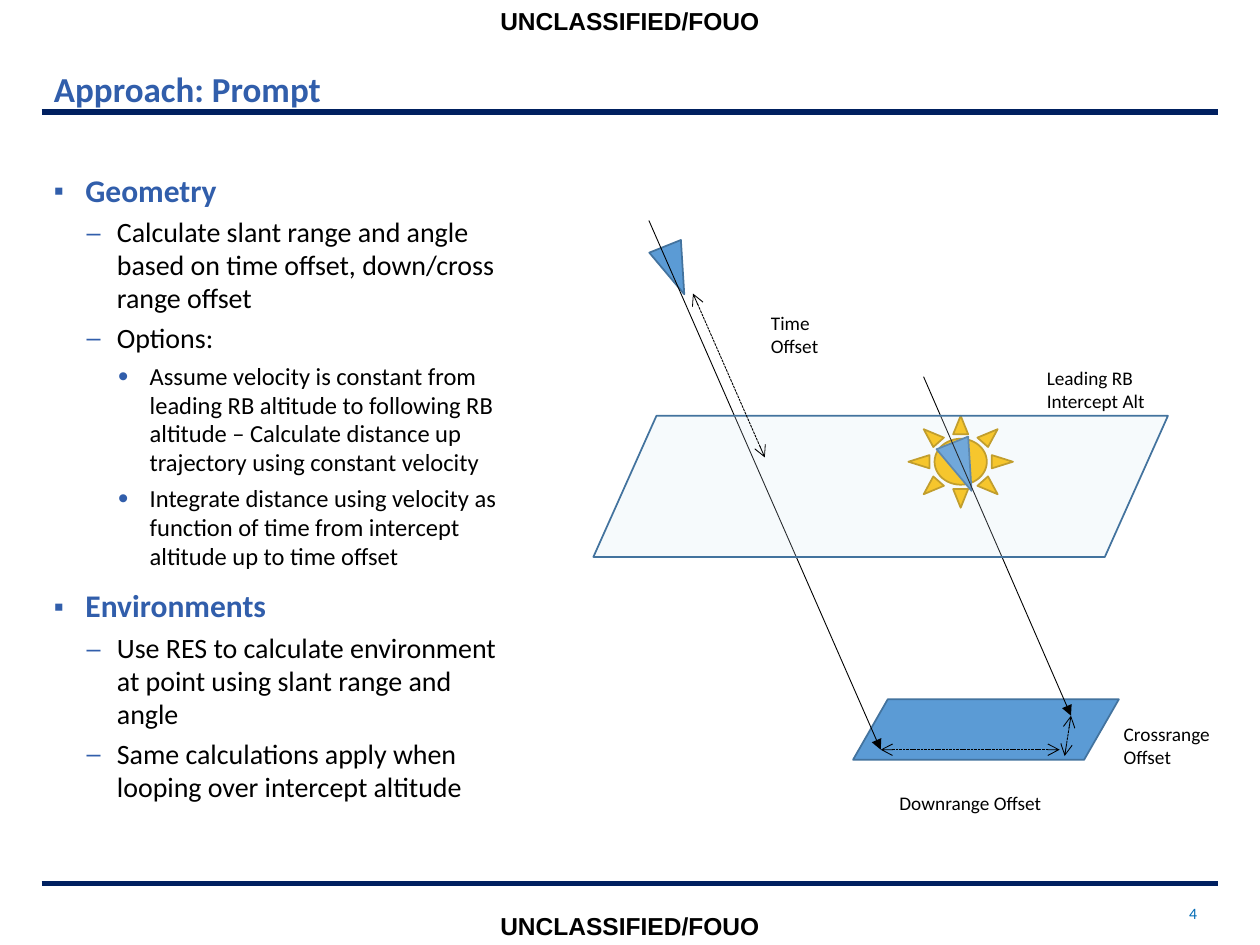
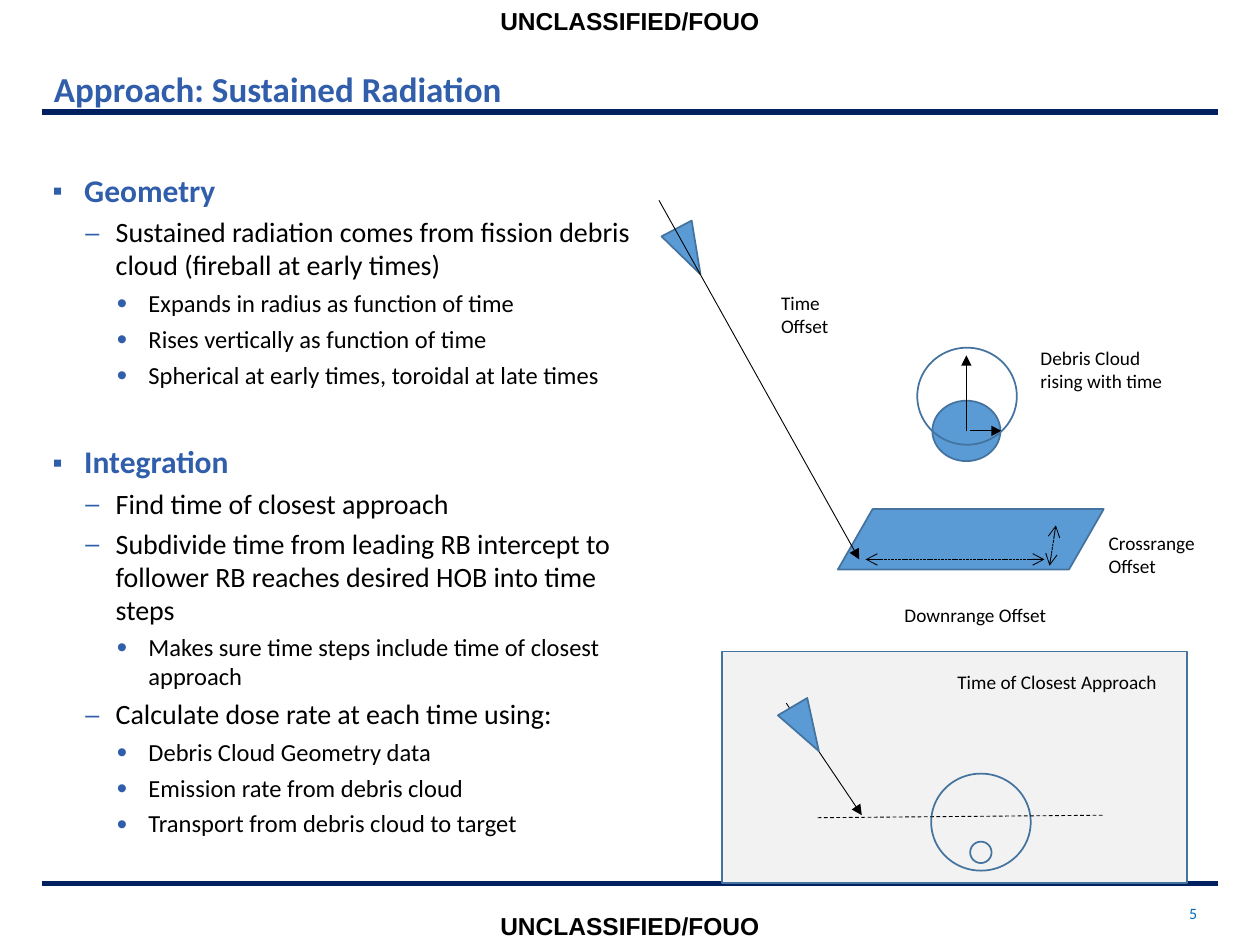
from dataclasses import dataclass
from typing import Optional, Union

import lxml.etree
import pptx
import pptx.dml.color
import pptx.enum.dml
import pptx.enum.shapes
import pptx.enum.text
import pptx.oxml.ns
import pptx.slide
import pptx.text.text
import pptx.util

Inches = pptx.util.Inches
Pt = pptx.util.Pt
RGBColor = pptx.dml.color.RGBColor
Preset = pptx.enum.shapes.MSO_SHAPE
Dash = pptx.enum.dml.MSO_LINE
Align = pptx.enum.text.PP_ALIGN
Anchor = pptx.enum.text.MSO_ANCHOR
qn = pptx.oxml.ns.qn

BLACK = RGBColor(0x00, 0x00, 0x00)
NAVY = RGBColor(0x00, 0x20, 0x60)
HEADING_BLUE = RGBColor(0x31, 0x5E, 0xAB)
NUMBER_BLUE = RGBColor(0x00, 0x6B, 0xB5)
SHAPE_BLUE = RGBColor(0x5B, 0x9B, 0xD5)
OUTLINE_BLUE = RGBColor(0x43, 0x73, 0x9E)
PLANE_BLUE = RGBColor(0xD4, 0xE5, 0xF4)
SUN_GOLD = RGBColor(0xFF, 0xC0, 0x00)
SUN_OUTLINE = RGBColor(0xBD, 0x8E, 0x00)
PANEL_GREY = RGBColor(0xF2, 0xF2, 0xF2)

MARKING = "UNCLASSIFIED/FOUO"


@dataclass(frozen=True)
class TextStyle:
    size: float
    color: RGBColor = BLACK
    bold: bool = False
    name: str = "Calibri"


@dataclass(frozen=True)
class BulletLevel:
    style: TextStyle
    symbol: str
    symbol_percent: int
    margin: float
    hanging: float
    space_before: float


@dataclass(frozen=True)
class Bullet:
    level: int
    text: str
    space_before: Optional[float] = None


@dataclass(frozen=True)
class Figure:
    preset: Preset
    left: float
    top: float
    width: float
    height: float
    fill: Optional[RGBColor] = SHAPE_BLUE
    outline: RGBColor = OUTLINE_BLUE
    rotation: float = 0
    adjustment: Optional[float] = None
    opacity: Optional[int] = None


@dataclass(frozen=True)
class Line:
    start: tuple[float, float]
    end: tuple[float, float]
    head: Optional[str] = None
    tail: Optional[str] = "triangle"
    dash: Optional[Dash] = None
    color: RGBColor = BLACK
    weight: float = 0.5


@dataclass(frozen=True)
class Label:
    text: str
    left: float
    top: float
    width: float
    height: float
    style: TextStyle = TextStyle(11)
    wrap: bool = False
    align: Align = Align.LEFT
    anchor: Anchor = Anchor.TOP


Item = Union[Figure, Line, Label]

TITLE_STYLE = TextStyle(20, HEADING_BLUE, True)
MARKING_STYLE = TextStyle(14, BLACK, True, "Arial")
NUMBER_STYLE = TextStyle(9, NUMBER_BLUE)
LEVELS = (
    BulletLevel(TextStyle(18, HEADING_BLUE, True), "▪", 90, 0.25, 0.25, 10),
    BulletLevel(TextStyle(16), "–", 90, 0.5, 0.24, 4),
    BulletLevel(TextStyle(14), "•", 120, 0.76, 0.25, 4),
)


def apply_style(para: pptx.text.text._Paragraph, style: TextStyle) -> None:
    para.font.name = style.name
    para.font.size = Pt(style.size)
    para.font.bold = style.bold
    para.font.color.rgb = style.color


def draw_figure(page: pptx.slide.Slide, figure: Figure) -> None:
    shape = page.shapes.add_shape(
        figure.preset, Inches(figure.left), Inches(figure.top),
        Inches(figure.width), Inches(figure.height))
    shape.shadow.inherit = False
    shape.rotation = figure.rotation
    if figure.adjustment is not None:
        shape.adjustments[0] = figure.adjustment
    if figure.fill is None:
        shape.fill.background()
    else:
        shape.fill.solid()
        shape.fill.fore_color.rgb = figure.fill
    if figure.opacity is not None:
        color = shape._element.spPr.find(qn("a:solidFill")).find(qn("a:srgbClr"))
        lxml.etree.SubElement(color, qn("a:alpha"), val=str(figure.opacity * 1000))
    shape.line.color.rgb = figure.outline
    shape.line.width = Pt(1)


def draw_line(page: pptx.slide.Slide, line: Line) -> None:
    connector = page.shapes.add_connector(
        pptx.enum.shapes.MSO_CONNECTOR.STRAIGHT,
        *(Inches(value) for value in line.start + line.end))
    connector.line.color.rgb = line.color
    connector.line.width = Pt(line.weight)
    if line.dash is not None:
        connector.line.dash_style = line.dash
    properties = connector._element.spPr
    stroke = properties.find(qn("a:ln"))
    for tag, kind in (("a:headEnd", line.head), ("a:tailEnd", line.tail)):
        if kind:
            lxml.etree.SubElement(stroke, qn(tag), type=kind)
    lxml.etree.SubElement(properties, qn("a:effectLst"))


def draw_label(page: pptx.slide.Slide, label: Label) -> None:
    box = page.shapes.add_textbox(
        Inches(label.left), Inches(label.top), Inches(label.width), Inches(label.height))
    frame = box.text_frame
    frame.word_wrap = label.wrap
    frame.vertical_anchor = label.anchor
    frame.text = label.text
    for para in frame.paragraphs:
        para.alignment = label.align
        apply_style(para, label.style)


def draw_items(page: pptx.slide.Slide, items: list[Item]) -> None:
    drawers = {Figure: draw_figure, Line: draw_line, Label: draw_label}
    for item in items:
        drawers[type(item)](page, item)


def add_bullet_marks(para: pptx.text.text._Paragraph, level: BulletLevel) -> None:
    properties = para._p.get_or_add_pPr()
    properties.set("marL", str(Inches(level.margin)))
    properties.set("indent", str(-Inches(level.hanging)))
    color = lxml.etree.SubElement(properties, qn("a:buClr"))
    lxml.etree.SubElement(color, qn("a:srgbClr"), val=str(HEADING_BLUE))
    lxml.etree.SubElement(properties, qn("a:buSzPct"), val=str(level.symbol_percent * 1000))
    lxml.etree.SubElement(properties, qn("a:buFont"), typeface="Arial")
    lxml.etree.SubElement(properties, qn("a:buChar"), char=level.symbol)


def draw_bullets(page: pptx.slide.Slide, left: float, width: float,
                 bullets: list[Bullet]) -> None:
    box = page.shapes.add_textbox(Inches(left), Inches(1.32), Inches(width), Inches(5.52))
    frame = box.text_frame
    frame.word_wrap = True
    for index, bullet in enumerate(bullets):
        para = frame.add_paragraph() if index else frame.paragraphs[0]
        level = LEVELS[bullet.level]
        para.text = bullet.text
        para.level = bullet.level
        add_bullet_marks(para, level)
        para.line_spacing = 0.98
        para.space_before = Pt(bullet.space_before or level.space_before)
        apply_style(para, level.style)


def add_page(deck: pptx.presentation.Presentation, title: str, number: int) -> pptx.slide.Slide:
    page = deck.slides.add_slide(deck.slide_layouts[6])
    markings = [Label(MARKING, 0, top, 10, 0.29, MARKING_STYLE, True, Align.CENTER)
                for top in (7.18, 0)]
    rules = [Line((0.33, y), (9.67, y), tail=None, color=NAVY, weight=3)
             for y in (7.01, 0.89)]
    draw_items(page, markings + rules + [
        Label(title, 0.33, 0.49, 7.3, 0.4, TITLE_STYLE, True),
        Label(str(number), 9.27, 7.05, 0.4, 0.4, NUMBER_STYLE, True,
              Align.CENTER, Anchor.MIDDLE),
    ])
    return page


def warhead(left: float, top: float, rotation: float) -> Figure:
    return Figure(Preset.FLOWCHART_MERGE, left, top, 0.27, 0.41, rotation=rotation)


def circle(left: float, top: float, width: float, height: float,
           fill: Optional[RGBColor] = None) -> Figure:
    return Figure(Preset.OVAL, left, top, width, height, fill)


def offset_arrow(start: tuple[float, float], end: tuple[float, float]) -> Line:
    return Line(start, end, "arrow", "arrow", Dash.SQUARE_DOT)


def target_area(left: float, top: float) -> list[Item]:
    return [
        Figure(Preset.PARALLELOGRAM, left, top, 2.11, 0.48, adjustment=0.575),
        offset_arrow((left + 1.64, top + 0.4), (left + 0.22, top + 0.4)),
        offset_arrow((left + 1.73, top + 0.13), (left + 1.68, top + 0.45)),
        Label("Crossrange\nOffset", left + 2.05, top + 0.13, 0.93, 0.47),
    ]


def downrange_label(left: float, top: float) -> Label:
    return Label("Downrange Offset", left, top, 1.34, 0.29)


def time_label(left: float, top: float) -> Label:
    return Label("Time\nOffset", left, top, 0.59, 0.47)


def build_prompt(deck: pptx.presentation.Presentation) -> None:
    page = add_page(deck, "Approach: Prompt", 4)
    draw_bullets(page, 0.33, 3.84, [
        Bullet(0, "Geometry"),
        Bullet(1, "Calculate slant range and angle based on time offset, down/cross range offset"),
        Bullet(1, "Options:"),
        Bullet(2, "Assume velocity is constant from leading RB altitude to following RB "
                  "altitude – Calculate distance up trajectory using constant velocity"),
        Bullet(2, "Integrate distance using velocity as function of time from intercept "
                  "altitude up to time offset"),
        Bullet(0, "Environments"),
        Bullet(1, "Use RES to calculate environment at point using slant range and angle"),
        Bullet(1, "Same calculations apply when looping over intercept altitude"),
    ])
    draw_items(page, [
        Figure(Preset.SUN, 7.21, 3.3, 0.83, 0.73, SUN_GOLD, SUN_OUTLINE),
        warhead(7.5, 3.5, 338.2),
        warhead(5.22, 1.94, 338.2),
        *target_area(6.77, 5.55),
        Line((7.33, 2.99), (8.5, 5.68)),
        Line((5.15, 1.75), (6.99, 5.95)),
        Figure(Preset.PARALLELOGRAM, 4.71, 3.3, 4.56, 1.12, PLANE_BLUE,
               adjustment=0.447, opacity=19),
        offset_arrow((5.5, 2.33), (6.07, 3.63)),
        downrange_label(7.04, 6.23),
        time_label(6.02, 2.42),
        Label("Leading RB Intercept Alt", 8.21, 2.86, 1.17, 0.47, wrap=True),
    ])


def build_sustained(deck: pptx.presentation.Presentation) -> None:
    page = add_page(deck, "Approach: Sustained Radiation", 5)
    draw_items(page, [Figure(Preset.RECTANGLE, 5.73, 5.17, 3.69, 1.84, PANEL_GREY)])
    draw_bullets(page, 0.32, 4.89, [
        Bullet(0, "Geometry"),
        Bullet(1, "Sustained radiation comes from fission debris cloud (fireball at early times)"),
        Bullet(2, "Expands in radius as function of time"),
        Bullet(2, "Rises vertically as function of time"),
        Bullet(2, "Spherical at early times, toroidal at late times"),
        Bullet(0, "Integration", space_before=31),
        Bullet(1, "Find time of closest approach"),
        Bullet(1, "Subdivide time from leading RB intercept to follower RB reaches desired "
                  "HOB into time steps"),
        Bullet(2, "Makes sure time steps include time of closest approach"),
        Bullet(1, "Calculate dose rate at each time using:"),
        Bullet(2, "Debris Cloud Geometry data"),
        Bullet(2, "Emission rate from debris cloud"),
        Bullet(2, "Transport from debris cloud to target"),
    ])
    draw_items(page, [
        Label("Time of Closest Approach", 7.5, 5.27, 1.8, 0.29),
        circle(7.39, 6.14, 0.79, 0.77),
        circle(7.7, 6.68, 0.17, 0.17),
        Line((6.24, 5.58), (6.84, 6.47)),
        Line((6.49, 6.49), (8.77, 6.47), tail=None, dash=Dash.DASH),
        warhead(6.26, 5.58, 329.4),
        warhead(5.33, 1.79, 332.4),
        *target_area(6.65, 4.04),
        Line((5.23, 1.59), (6.82, 4.44)),
        time_label(6.1, 2.26),
        Label("Debris Cloud rising with time", 8.16, 2.7, 1.17, 0.47, wrap=True),
        circle(7.4, 3.18, 0.54, 0.48, SHAPE_BLUE),
        Line((7.7, 3.42), (7.95, 3.42)),
        Line((7.67, 3.42), (7.67, 2.82)),
        circle(7.28, 2.76, 0.79, 0.77),
        downrange_label(7.08, 4.74),
    ])


def main() -> None:
    deck = pptx.Presentation()
    deck.slide_width = Inches(10)
    deck.slide_height = Inches(7.5)
    build_prompt(deck)
    build_sustained(deck)
    deck.save("out.pptx")


if __name__ == "__main__":
    main()
